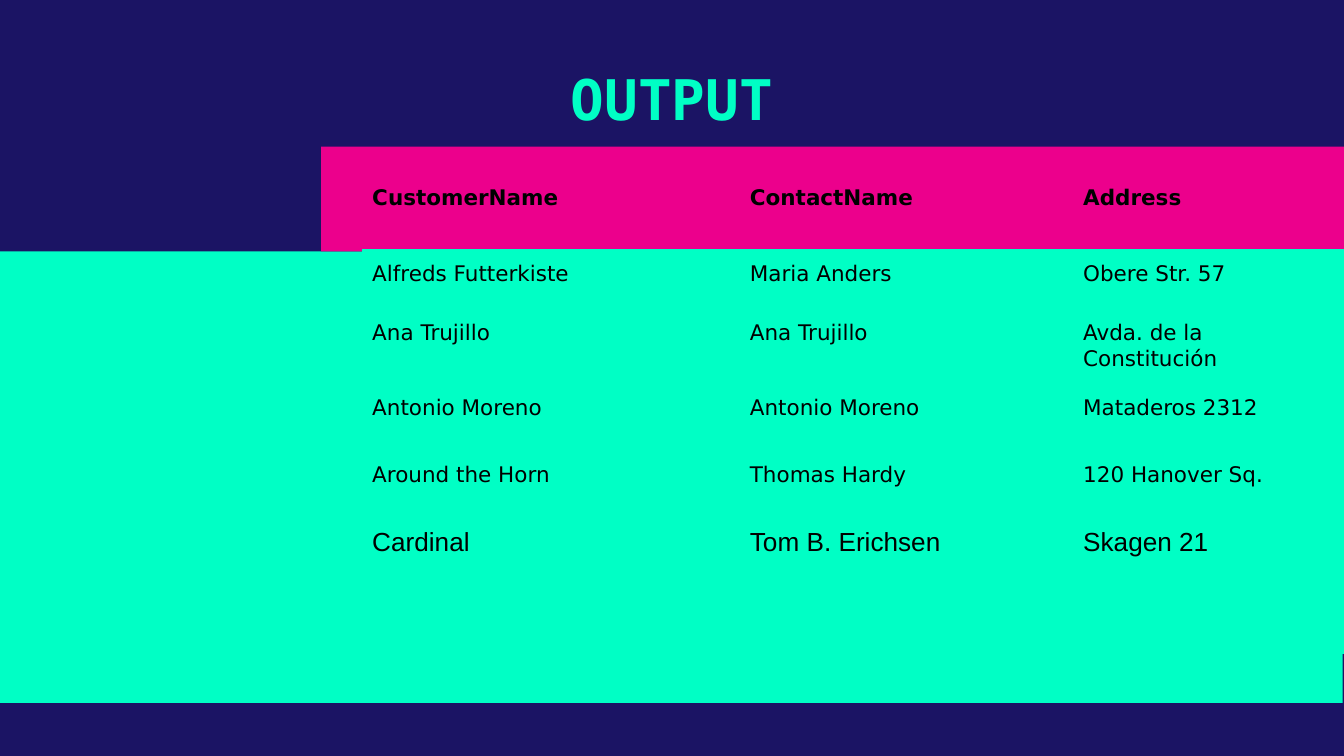
import dataclasses

import pptx
import pptx.dml.color
import pptx.enum.shapes
import pptx.enum.text
import pptx.oxml.ns
import pptx.util
from pptx.util import Inches

COLORS = {
    "navy": "1B1464",
    "mint": "00FFC5",
    "pink": "EC008C",
    "black": "000000",
}
NO_STYLE_NO_GRID = "{2D5ABB26-0587-4C30-8999-92F81FD0307C}"
TABLE_LEFT, TABLE_TOP = 1.32, 1.29
COLUMN_WIDTHS = [1.37, 2.81, 2.48, 2.02]
CELL_MARGIN = 0.08


@dataclasses.dataclass
class Band:
    left: float
    top: float
    width: float
    height: float
    color: str


@dataclasses.dataclass
class TextStyle:
    font: str
    size: float
    color: str = "black"
    bold: bool = False
    line_spacing: float | None = None


@dataclasses.dataclass
class CustomerRow:
    height: float
    values: tuple[str, str, str]
    style: TextStyle
    fill: str = "mint"


TITLE = TextStyle("DejaVu Sans Mono", 30, "mint", True)
HEADER = TextStyle("DejaVu Sans", 11.5, bold=True, line_spacing=1.07)
BODY = TextStyle("DejaVu Sans", 11.5, line_spacing=1.07)
LAST = TextStyle("Arial", 14)

BANDS = [
    Band(0, 1.87, 9.99, 3.36, "mint"),
    Band(2.39, 1.09, 7.61, 0.78, "pink"),
]
ROWS = [
    CustomerRow(0.56, ("CustomerName", "ContactName", "Address"), HEADER, "pink"),
    CustomerRow(0.44, ("Alfreds Futterkiste", "Maria Anders", "Obere Str. 57"), BODY),
    CustomerRow(0.56, ("Ana Trujillo", "Ana Trujillo", "Avda. de la Constitución"), BODY),
    CustomerRow(0.5, ("Antonio Moreno", "Antonio Moreno", "Mataderos 2312"), BODY),
    CustomerRow(0.5, ("Around the Horn", "Thomas Hardy", "120 Hanover Sq."), BODY),
    CustomerRow(0.55, ("Cardinal", "Tom B. Erichsen", "Skagen 21"), LAST),
    CustomerRow(0.44, ("", "", ""), LAST),
]


def rgb(name: str) -> pptx.dml.color.RGBColor:
    return pptx.dml.color.RGBColor.from_string(COLORS[name])


def paint(fill, color: str) -> None:
    fill.solid()
    fill.fore_color.rgb = rgb(color)


def write(paragraph, text: str, style: TextStyle) -> None:
    if style.line_spacing:
        paragraph.line_spacing = style.line_spacing
    run = paragraph.add_run()
    run.text = text
    run.font.name = style.font
    run.font.size = pptx.util.Pt(style.size)
    run.font.bold = style.bold
    run.font.color.rgb = rgb(style.color)


def draw_band(slide, band: Band) -> None:
    shape = slide.shapes.add_shape(
        pptx.enum.shapes.MSO_SHAPE.RECTANGLE,
        Inches(band.left), Inches(band.top), Inches(band.width), Inches(band.height),
    )
    shape.shadow.inherit = False
    paint(shape.fill, band.color)
    shape.line.fill.background()


def draw_title(slide, text: str) -> None:
    title = slide.shapes.title
    title.left, title.top = Inches(1.4), Inches(0.38)
    title.width, title.height = Inches(7.2), Inches(0.73)
    frame = title.text_frame
    frame.margin_left = frame.margin_right = Inches(0.1)
    frame.margin_top = frame.margin_bottom = Inches(0.1)
    frame.vertical_anchor = pptx.enum.text.MSO_ANCHOR.TOP
    paragraph = frame.paragraphs[0]
    paragraph.alignment = pptx.enum.text.PP_ALIGN.CENTER
    write(paragraph, text, TITLE)


def fill_cell(cell, text: str, row: CustomerRow) -> None:
    paint(cell.fill, row.fill)
    cell.margin_left = cell.margin_right = Inches(CELL_MARGIN)
    cell.margin_top = cell.margin_bottom = Inches(CELL_MARGIN)
    if text:
        write(cell.text_frame.paragraphs[0], text, row.style)


def draw_table(slide, rows: list[CustomerRow]) -> None:
    table = slide.shapes.add_table(
        len(rows), len(COLUMN_WIDTHS),
        Inches(TABLE_LEFT), Inches(TABLE_TOP),
        Inches(sum(COLUMN_WIDTHS)), Inches(sum(row.height for row in rows)),
    ).table
    table.first_row = table.horz_banding = False
    style_id = table._tbl.tblPr.find(pptx.oxml.ns.qn("a:tableStyleId"))
    style_id.text = NO_STYLE_NO_GRID
    for column, width in zip(table.columns, COLUMN_WIDTHS):
        column.width = Inches(width)
    for index, row in enumerate(rows):
        table.rows[index].height = Inches(row.height)
        table.cell(index, 0).fill.background()
        for column_index, text in enumerate(row.values, start=1):
            fill_cell(table.cell(index, column_index), text, row)


def main() -> None:
    presentation = pptx.Presentation()
    presentation.slide_width = Inches(10)
    presentation.slide_height = presentation.slide_width * 9 // 16
    slide = presentation.slides.add_slide(presentation.slide_layouts[5])
    paint(slide.background.fill, "navy")
    for band in BANDS:
        draw_band(slide, band)
    draw_title(slide, "OUTPUT")
    draw_table(slide, ROWS)
    presentation.save("out.pptx")


if __name__ == "__main__":
    main()
